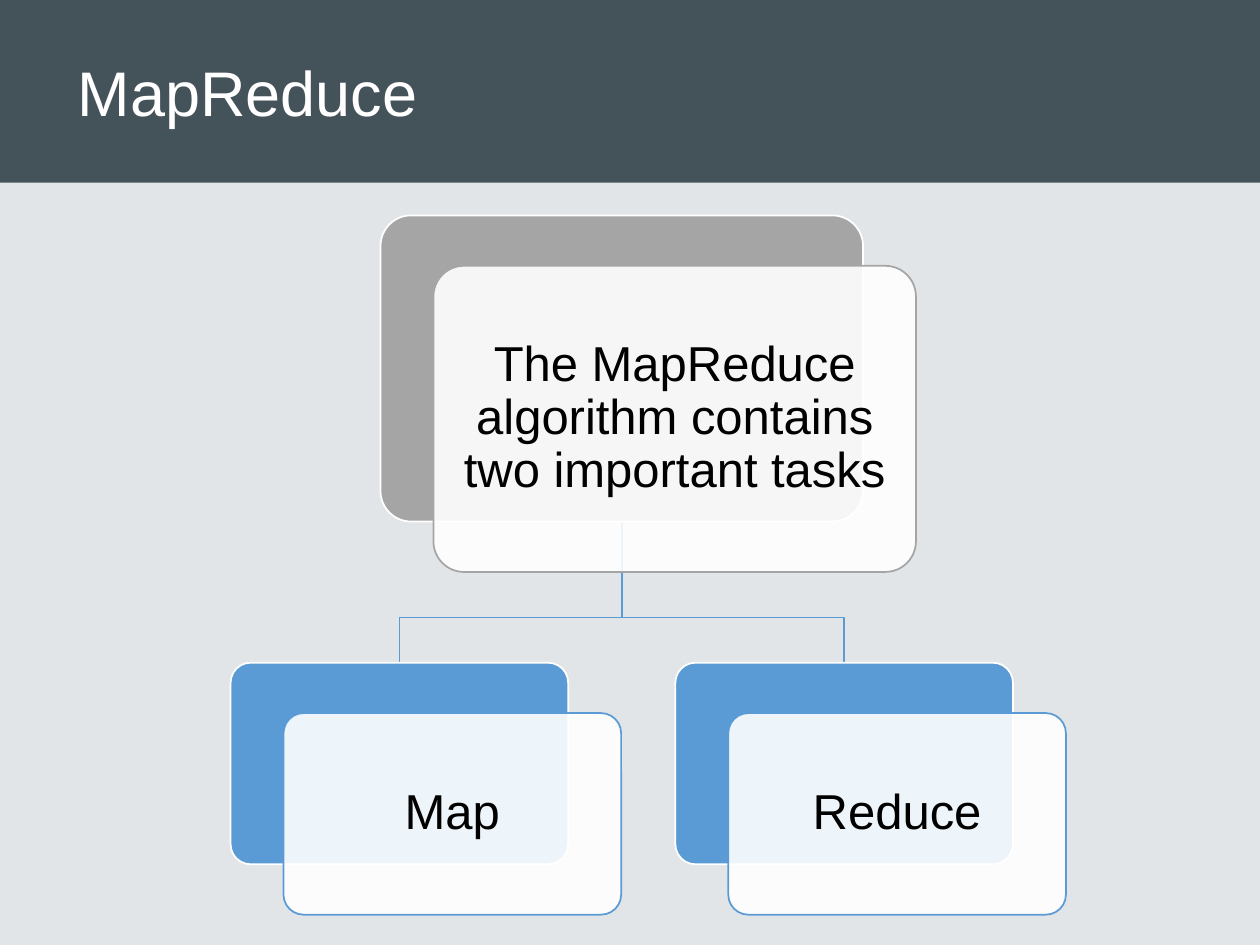
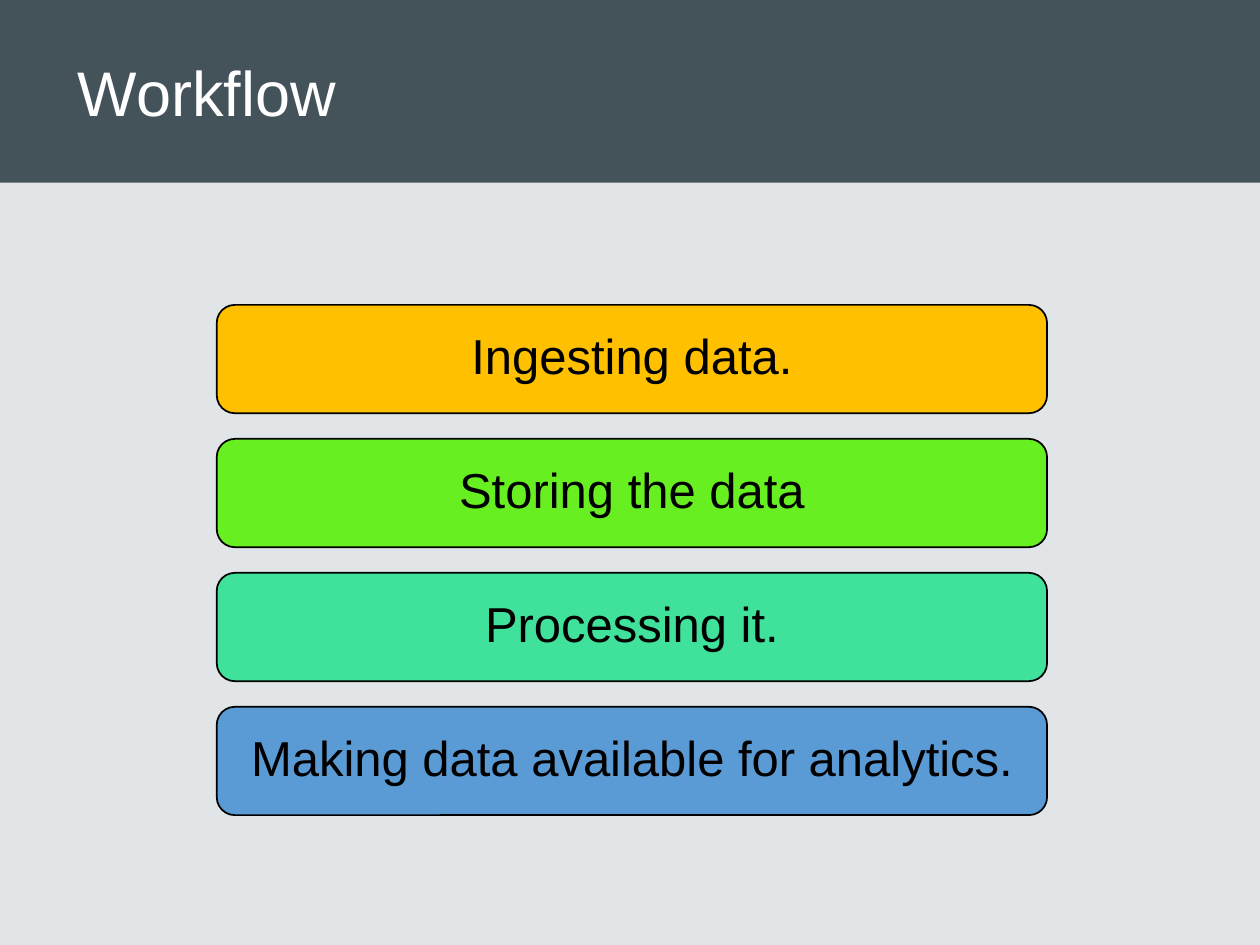
from pptx import Presentation
from pptx.dml.color import RGBColor as RGB
from pptx.enum.shapes import MSO_SHAPE as SHAPE
from pptx.enum.text import MSO_ANCHOR as ANCHOR, PP_ALIGN as ALIGN
from pptx.oxml.ns import qn
from pptx.util import Inches, Pt
from lxml import etree

COLORS = {
    "background": "E2E5E8", "band": "44525A", "white": "FFFFFF", "black": "000000",
    "gray": "A5A5A5", "blue": "5B9BD5", "amber": "FFC000", "green": "67EF21",
    "mint": "3FE19B",
}
FONT = "Arial"
TITLE = {"size": Pt(36), "color": "white", "align": ALIGN.LEFT, "spacing": 1.0}
LABEL = {"size": Pt(28), "color": "black", "align": ALIGN.CENTER, "spacing": 0.9}
LABEL_INSET = 0.12
CARD_OFFSET = (0.42, 0.4)
CARD_ADJUST = 0.1
STEP_ADJUST = 0.1667


def rgb(name):
    return RGB.from_string(COLORS[name])


def write(sp, text, style, inset=None):
    tf = sp.text_frame
    tf.word_wrap = True
    tf.vertical_anchor = ANCHOR.MIDDLE
    if inset is not None:
        for side in ("left", "top", "right", "bottom"):
            setattr(tf, f"margin_{side}", Inches(inset))
    p = tf.paragraphs[0]
    p.alignment = style["align"]
    p.line_spacing = style["spacing"]
    r = p.add_run()
    r.text = text
    for name, value in {"name": FONT, "size": style["size"]}.items():
        setattr(r.font, name, value)
    r.font.color.rgb = rgb(style["color"])


def add_box(s, kind, box, fill, line=None, adjust=None, opacity=None):
    sp = s.shapes.add_shape(kind, *map(Inches, box))
    sp.shadow.inherit = False
    sp.fill.solid()
    sp.fill.fore_color.rgb = rgb(fill)
    if opacity is not None:
        color = sp._element.spPr.find(qn("a:solidFill")).find(qn("a:srgbClr"))
        etree.SubElement(color, qn("a:alpha")).set("val", str(opacity * 1000))
    if line:
        sp.line.color.rgb = rgb(line)
        sp.line.width = Pt(1)
    else:
        sp.line.fill.background()
    if adjust is not None:
        sp.adjustments[0] = adjust
    return sp


def add_titled_slide(prs, title):
    s = prs.slides.add_slide(prs.slide_layouts[6])
    s.background.fill.solid()
    s.background.fill.fore_color.rgb = rgb("background")
    add_box(s, SHAPE.RECTANGLE, (0, 0, 10, 1.45), "band")
    write(s.shapes.add_textbox(*map(Inches, (0.52, 0, 9.48, 1.45))), title, TITLE)
    return s


def add_card(s, box, text, color):
    left, top, width, height = box
    dx, dy = CARD_OFFSET
    add_box(s, SHAPE.ROUNDED_RECTANGLE, box, color, "white", CARD_ADJUST)
    front = add_box(s, SHAPE.ROUNDED_RECTANGLE, (left + dx, top + dy, width, height),
                    "white", color, CARD_ADJUST, opacity=90)
    write(front, text, LABEL, LABEL_INSET)


def add_branch(s, parent, child, bend):
    start_x = parent[0] + parent[2] / 2
    start_y = parent[1] + parent[3]
    end_x = child[0] + child[2] / 2
    points = [(start_x, bend), (end_x, bend), (end_x, child[1])]
    builder = s.shapes.build_freeform(Inches(start_x), Inches(start_y))
    builder.add_line_segments([(Inches(x), Inches(y)) for x, y in points], close=False)
    sp = builder.convert_to_shape()
    sp.shadow.inherit = False
    sp.fill.background()
    sp.line.color.rgb = rgb("blue")
    sp.line.width = Pt(1)


def add_hierarchy(s, box, root_text, tasks):
    left, top, width, height = box
    child_w, child_h, root_w, root_h = 2.68, 1.6, 3.83, 2.43
    dx, dy = CARD_OFFSET
    stride = (width - dx - child_w) / (len(tasks) - 1)
    child_top = top + height - dy - child_h
    root = (left + (width - dx - root_w) / 2, top, root_w, root_h)
    children = [(left + i * stride, child_top, child_w, child_h) for i in range(len(tasks))]
    for child in reversed(children):
        add_branch(s, root, child, child_top - 0.36)
    add_card(s, root, root_text, "gray")
    for child, task in zip(children, tasks):
        add_card(s, child, task, "blue")


def add_steps(s, box, steps, step_height=0.86):
    left, top, width, height = box
    stride = (height - step_height) / (len(steps) - 1)
    for i, (text, color) in enumerate(steps):
        sp = add_box(s, SHAPE.ROUNDED_RECTANGLE, (left, top + i * stride, width, step_height),
                     color, "black", STEP_ADJUST)
        write(sp, text, LABEL, LABEL_INSET)


def main():
    prs = Presentation()
    prs.slide_width, prs.slide_height = Inches(10), Inches(7.5)

    s = add_titled_slide(prs, "MapReduce")
    add_hierarchy(s, (1.83, 1.71, 6.63, 5.55),
                  "The MapReduce algorithm contains two important tasks", ["Map", "Reduce"])

    s = add_titled_slide(prs, "Workflow")
    add_steps(s, (1.72, 2.42, 6.59, 4.05), [
        ("Ingesting data.", "amber"),
        ("Storing the data", "green"),
        ("Processing it.", "mint"),
        ("Making data available for analytics.", "blue"),
    ])

    prs.save("out.pptx")


if __name__ == "__main__":
    main()
